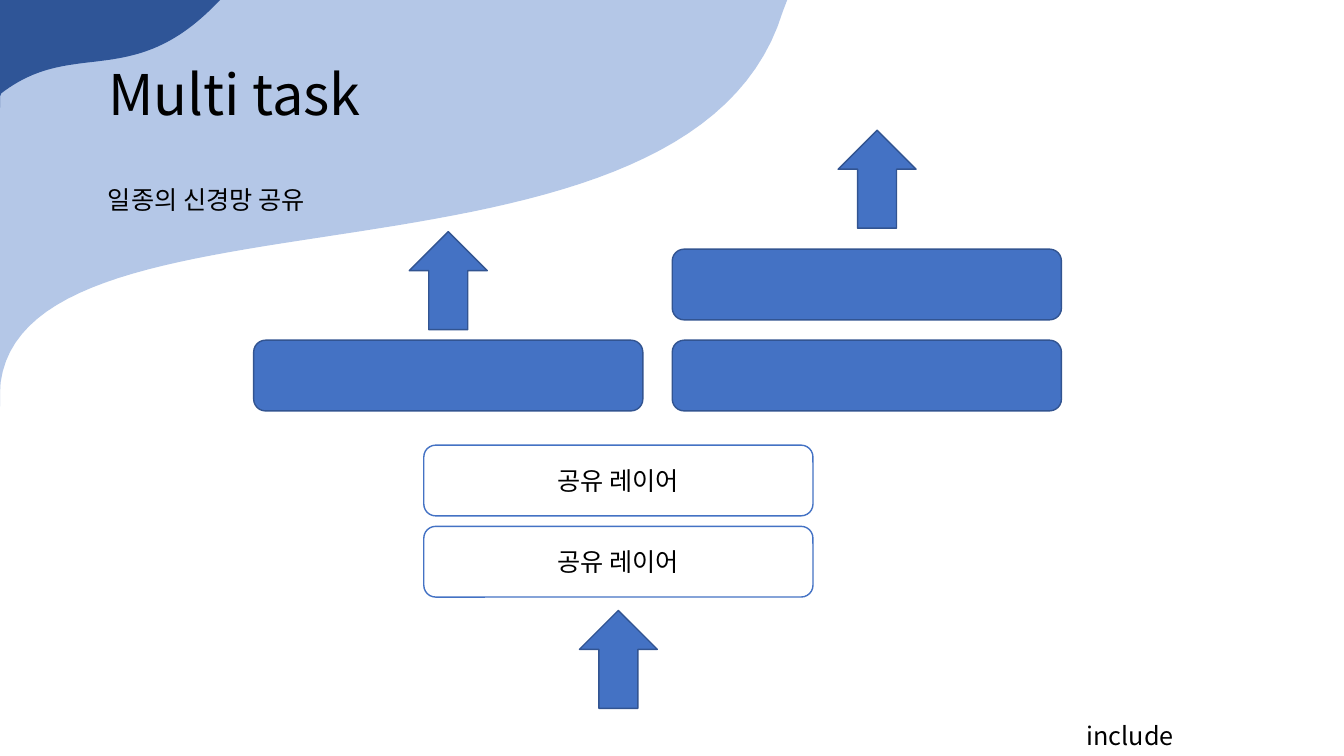
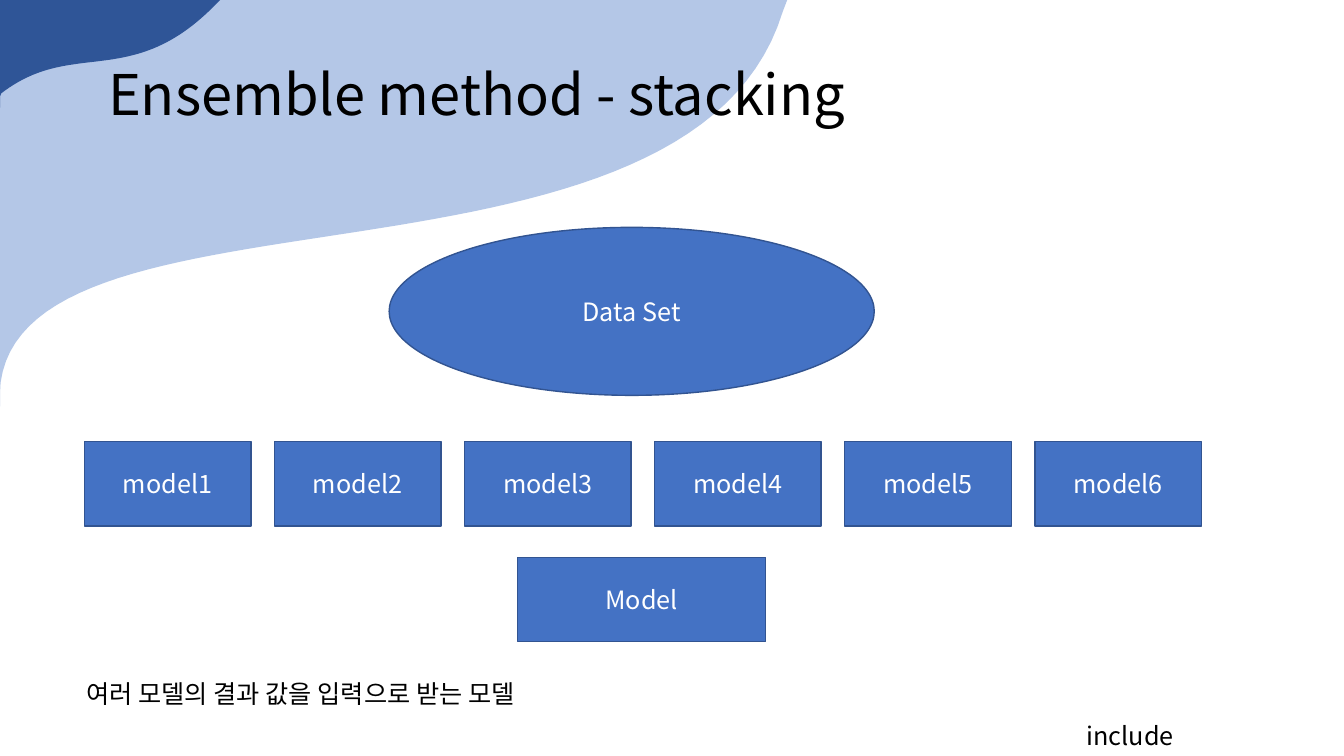
from lxml import etree
from pptx import Presentation
from pptx import util as u
from pptx.dml import color
from pptx.enum import shapes, text
from pptx.oxml import ns

Pt = u.Pt
SHAPE = shapes.MSO_SHAPE
FONT = "Noto Sans CJK KR"
COLORS = {
    "accent": "4472C4",
    "outline": "325491",
    "pale_wave": "B4C7E7",
    "dark_wave": "2F5597",
    "black": "000000",
    "white": "FFFFFF",
}
# Each wave runs from the top edge to the left edge along one Bezier curve
WAVES = {
    "pale_wave": [(562.3, -3.6), (508.3, 235.4), (-13, 110.2), (0, 290.2)],
    "dark_wave": [(164.2, -7.9), (93.6, 74.9), (49, 18), (-10.8, 77)],
}
WAVE_STEPS = 60


def rgb(name):
    return color.RGBColor.from_string(COLORS[name])


def write(paragraph, words, size=18, ink="black"):
    run = paragraph.add_run()
    run.text = words
    run.font.size = Pt(size)
    run.font.color.rgb = rgb(ink)
    run.font.name = FONT
    properties = run.font._element
    etree.SubElement(properties, ns.qn("a:ea")).set("typeface", FONT)


def paint(shape, fill, line=None):
    shape.shadow.inherit = False
    shape.fill.solid()
    shape.fill.fore_color.rgb = rgb(fill)
    if line:
        shape.line.color.rgb = rgb(line)
        shape.line.width = Pt(1)
    else:
        shape.line.fill.background()


def add_block(slide, kind, box, words="", fill="accent", line="outline", ink="white"):
    block = slide.shapes.add_shape(kind, *map(Pt, box))
    paint(block, fill, line)
    if words:
        block.text_frame.vertical_anchor = text.MSO_ANCHOR.MIDDLE
        paragraph = block.text_frame.paragraphs[0]
        paragraph.alignment = text.PP_ALIGN.CENTER
        write(paragraph, words, ink=ink)
    return block


def add_label(slide, box, words):
    label = slide.shapes.add_textbox(*map(Pt, box))
    label.text_frame.word_wrap = True
    write(label.text_frame.paragraphs[0], words)
    return label


def add_wave(slide, name):
    start, pull_start, pull_end, end = WAVES[name]
    points = []
    for step in range(WAVE_STEPS + 1):
        t = step / WAVE_STEPS
        weights = ((1 - t) ** 3, 3 * t * (1 - t) ** 2, 3 * t * t * (1 - t), t ** 3)
        point = [
            sum(weight * value for weight, value in zip(weights, values))
            for values in zip(start, pull_start, pull_end, end)
        ]
        points.append(tuple(Pt(max(0, value)) for value in point))
    builder = slide.shapes.build_freeform(0, 0)
    builder.add_line_segments(points, close=True)
    wave = builder.convert_to_shape()
    paint(wave, name)
    return wave


def decorate_layout(layout, slide):
    """Build the waves and footer on a slide, then move them to its layout."""
    parts = [add_wave(slide, name) for name in WAVES]
    parts.append(add_label(slide, (769, 511.2, 190, 28.8), "include"))
    for part in parts:
        layout.shapes.element.append(part.element)


def set_title(slide, box, words):
    title = slide.shapes.title
    title.left, title.top, title.width, title.height = map(Pt, box)
    frame = title.text_frame
    frame.vertical_anchor = text.MSO_ANCHOR.TOP
    frame.auto_size = text.MSO_AUTO_SIZE.TEXT_TO_FIT_SHAPE
    paragraph = frame.paragraphs[0]
    paragraph.alignment = text.PP_ALIGN.LEFT
    paragraph.line_spacing = 0.9
    paragraph.space_before = Pt(10)
    write(paragraph, words, 40)


def add_network(slide, box):
    """Shared layers below, one task branch on each side, arrows pointing up."""
    left, top, width, height = box
    layer_width, layer_height = 278, 50.5
    right = left + width - layer_width
    shared_left = left + 121.5

    # Shared layers
    for layer_top in (top + 283, top + 225):
        add_block(slide, SHAPE.ROUNDED_RECTANGLE,
                  (shared_left, layer_top, layer_width, layer_height),
                  "공유 레이어", "white", "accent", "black")

    # Task layers
    for layer_left, layer_top in ((left, top + 150), (right, top + 150), (right, top + 85)):
        add_block(slide, SHAPE.ROUNDED_RECTANGLE,
                  (layer_left, layer_top, layer_width, layer_height))

    # Input and output arrows
    arrow_width, arrow_height = 55.7, 70
    arrows = (
        (shared_left + layer_width / 2, top + height - arrow_height),
        (right + 146.3, top),
        (left + layer_width / 2, top + 72.5),
    )
    for center, arrow_top in arrows:
        add_block(slide, SHAPE.UP_ARROW,
                  (center - arrow_width / 2, arrow_top, arrow_width, arrow_height))


def add_stack(slide, box):
    """A data set above a row of models, with the final model below."""
    left, top, width, height = box
    model_width, model_height, model_count = 119, 60.3, 6
    add_block(slide, SHAPE.OVAL, (left + 217.8, top, 346.5, 120), "Data Set")

    # Row of models
    step = (width - model_width) / (model_count - 1)
    for index in range(model_count):
        add_block(slide, SHAPE.RECTANGLE,
                  (left + index * step, top + 153, model_width, model_height),
                  f"model{index + 1}")

    # Final model
    add_block(slide, SHAPE.RECTANGLE,
              (left + 309.5, top + height - model_height, 177.3, model_height), "Model")


def add_titled_slide(presentation, layout, words):
    slide = presentation.slides.add_slide(layout)
    set_title(slide, (70, 44.6, 816, 72), words)
    return slide


presentation = Presentation()
presentation.slide_width, presentation.slide_height = Pt(960), Pt(540)
title_layout = presentation.slide_layouts.get_by_name("Title Only")

# Multi task
multi_task = add_titled_slide(presentation, title_layout, "Multi task")
decorate_layout(title_layout, multi_task)
add_label(multi_task, (70, 128.2, 602, 28.8), "일종의 신경망 공유")
add_network(multi_task, (181.2, 93, 577, 413))

# Ensemble stacking
ensemble = add_titled_slide(presentation, title_layout, "Ensemble method - stacking")
add_stack(ensemble, (60.2, 162.4, 798, 296))
add_label(ensemble, (54.7, 481, 404, 28.8), "여러 모델의 결과 값을 입력으로 받는 모델")

presentation.save("out.pptx")
